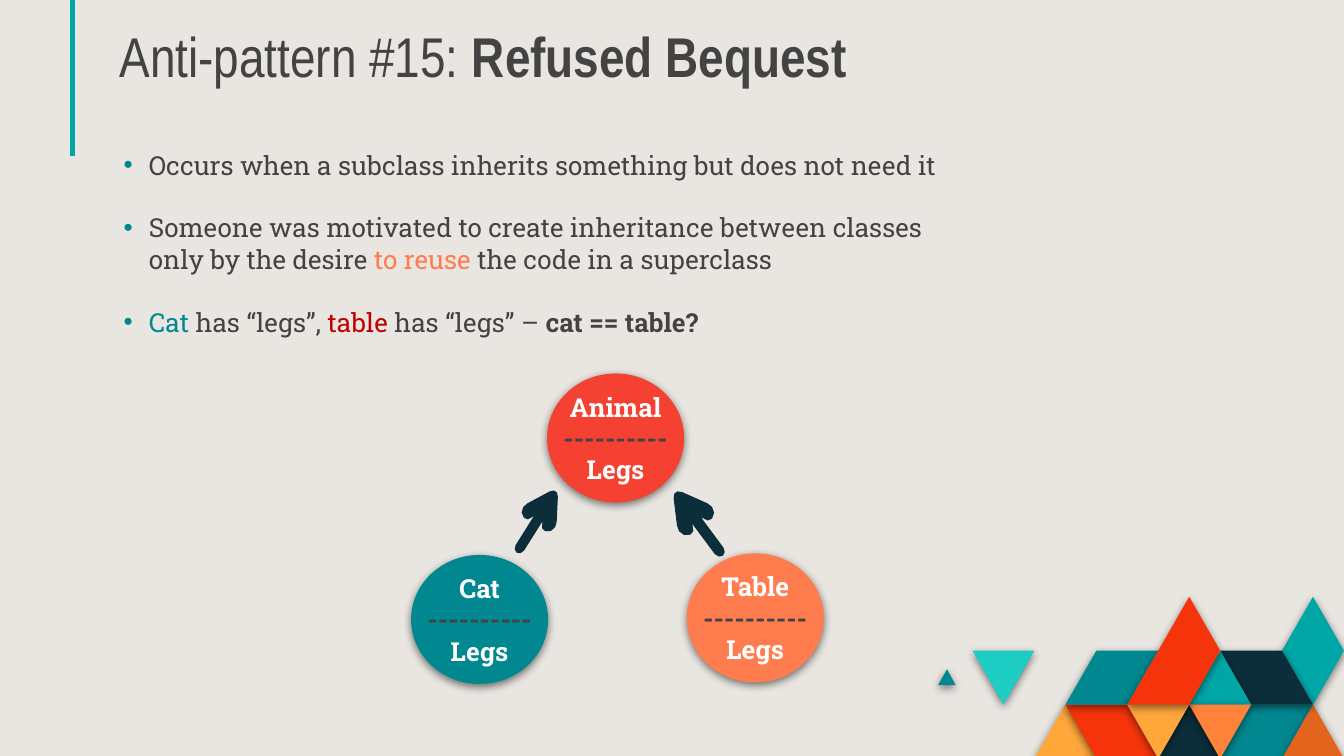
import pptx
import pptx.dml.color
import pptx.enum.shapes
import pptx.enum.text
import pptx.oxml
import pptx.oxml.ns
import pptx.oxml.xmlchemy
import pptx.util

Cm = pptx.util.Cm
Pt = pptx.util.Pt
qn = pptx.oxml.ns.qn
new_element = pptx.oxml.xmlchemy.OxmlElement
ALIGN = pptx.enum.text.PP_ALIGN
ANCHOR = pptx.enum.text.MSO_ANCHOR

WIDTH, HEIGHT = 25.4, 14.29
TEAL, DARK, GREY, WHITE = "018790", "0C2E3A", "434343", "FFFFFF"
AQUA, RED, AMBER, CORAL = "00A6A6", "F5340B", "FFA73B", "FF7C4E"
SLAB = "Roboto Slab"

GRID_LEFT, GRID_TOP = 19.55, 11.28
GRID_DX, GRID_DY = (WIDTH - GRID_LEFT) / 10, 1.02
MOSAIC = [
    (AMBER, [(0, 3), (1, 2), (2, 3)]),
    (RED, [(1, 2), (3, 2), (4, 3), (2, 3)]),
    (TEAL, [(6, 3), (7, 2), (9, 2), (8, 3)]),
    ("E3651D", [(8, 3), (9, 2), (10, 3)]),
    (DARK, [(4, 3), (5, 2), (6, 3)]),
    (TEAL, [(1, 2), (2, 1), (4, 1), (3, 2)]),
    ("1DCDC3", [(-2, 1), (0, 1), (-1, 2)]),
    (AQUA, [(8, 1), (9, 0), (10, 1), (9, 2)]),
    (DARK, [(6, 1), (8, 1), (9, 2), (7, 2)]),
    (AQUA, [(5, 2), (6, 1), (7, 2)]),
    ("FF823B", [(5, 2), (7, 2), (6, 3)]),
    (AMBER, [(3, 2), (5, 2), (4, 3)]),
    (RED, [(3, 2), (5, 0), (6, 1), (5, 2)]),
]
SMALL_TRIANGLE = [(17.73, 12.95), (17.9, 12.65), (18.06, 12.95)]

ARROW_HALF = [(0, 0.02), (0.04, 0.06), (0.34, 0.23), (0.41, 0.25), (0.48, 0.23),
              (0.52, 0.17), (0.51, 0.12), (0.4, 0.06), (0.91, 0.06),
              (0.96, 0.04), (0.98, 0)]

BULLETS = [
    [("Occurs when a subclass inherits something but does not need it", GREY, False)],
    [("Someone was motivated to create inheritance between classes only by the desire ",
      GREY, False),
     ("to reuse ", CORAL, False),
     ("the code in a superclass", GREY, False)],
    [("Cat ", TEAL, False), ("has “legs”, ", GREY, False),
     ("table ", "C00000", False), ("has “legs” – ", GREY, False),
     ("cat == table?", GREY, True)],
]


def rgb(value):
    return pptx.dml.color.RGBColor.from_string(value)


def add_run(p, text, font=SLAB, size=14, color=GREY, bold=False):
    r = p.add_run()
    r.text = text
    r.font.name = font
    r.font.size = Pt(size)
    r.font.bold = bold
    r.font.color.rgb = rgb(color)


def move(sp, left, top, width, height):
    sp.left, sp.top, sp.width, sp.height = map(Cm, (left, top, width, height))


def paint(sp, color):
    sp.fill.solid()
    sp.fill.fore_color.rgb = rgb(color)
    sp.line.fill.background()
    sp.shadow.inherit = False


def add_shadow(sp):
    effects = sp._element.spPr.find(qn("a:effectLst"))
    effects.append(pptx.oxml.parse_xml(
        '<a:outerShdw xmlns:a="http://schemas.openxmlformats.org/drawingml/2006/main" '
        'blurRad="57150" dist="19050" dir="5400000" algn="bl" rotWithShape="0">'
        '<a:srgbClr val="000000"><a:alpha val="50000"/></a:srgbClr></a:outerShdw>'))


def add_polygon(s, points, color):
    points = [(Cm(x), Cm(y)) for x, y in points]
    builder = s.shapes.build_freeform(*points[0], scale=1.0)
    builder.add_line_segments(points[1:], close=True)
    sp = builder.convert_to_shape()
    paint(sp, color)
    return sp


def add_mosaic(s):
    for color, cells in MOSAIC:
        points = [(GRID_LEFT + col * GRID_DX, GRID_TOP + row * GRID_DY)
                  for col, row in cells]
        add_shadow(add_polygon(s, points, color))
    add_shadow(add_polygon(s, SMALL_TRIANGLE, TEAL))


def add_rule(s, x, bottom):
    line = s.shapes.add_connector(
        pptx.enum.shapes.MSO_CONNECTOR.STRAIGHT, Cm(x), 0, Cm(x), Cm(bottom))
    line.line.color.rgb = rgb(AQUA)
    line.line.width = Pt(2.25)
    line._element.spPr.append(new_element("a:effectLst"))


def add_title(s):
    sp = s.shapes.title
    move(sp, 2.01, 0.33, 22.48, 1.6)
    tf = sp.text_frame
    tf.auto_size = pptx.enum.text.MSO_AUTO_SIZE.NONE
    tf.vertical_anchor = ANCHOR.BOTTOM
    tf.margin_left = tf.margin_right = tf.margin_top = tf.margin_bottom = Cm(0.25)
    p = tf.paragraphs[0]
    p.alignment = ALIGN.LEFT
    add_run(p, "Anti-pattern #15: ", font="Arial Narrow", size=30)
    add_run(p, "Refused Bequest", font="Arial Narrow", size=30, bold=True)


def set_bullet(p):
    pPr = p._p.get_or_add_pPr()
    pPr.set("marL", str(Cm(0.48)))
    pPr.set("indent", str(-Cm(0.48)))
    color = new_element("a:buClr")
    value = new_element("a:srgbClr")
    value.set("val", TEAL)
    color.append(value)
    font = new_element("a:buFont")
    font.set("typeface", "Arial")
    char = new_element("a:buChar")
    char.set("char", "•")
    pPr.extend([color, font, char])


def add_bullets(s):
    sp = s.placeholders[1]
    move(sp, 2.08, 2.69, 16.03, 4.37)
    tf = sp.text_frame
    tf.auto_size = pptx.enum.text.MSO_AUTO_SIZE.NONE
    tf.vertical_anchor = ANCHOR.TOP
    for i, runs in enumerate(BULLETS):
        p = tf.add_paragraph() if i else tf.paragraphs[0]
        p.space_before = Pt(0)
        p.space_after = Pt(16.8)
        set_bullet(p)
        for text, color, bold in runs:
            add_run(p, text, color=color, bold=bold)


def add_class_circle(s, left, top, name, color):
    sp = s.shapes.add_shape(pptx.enum.shapes.MSO_SHAPE.OVAL,
                            Cm(left), Cm(top), Cm(2.59), Cm(2.44))
    paint(sp, color)
    add_shadow(sp)
    tf = sp.text_frame
    tf.word_wrap = False
    tf.vertical_anchor = ANCHOR.MIDDLE
    lines = [(name, WHITE), ("-" * 10, GREY), ("Legs", WHITE)]
    for i, (text, ink) in enumerate(lines):
        p = tf.add_paragraph() if i else tf.paragraphs[0]
        p.alignment = ALIGN.CENTER
        add_run(p, text, color=ink, bold=True)


def add_arrow(s, tail, tip):
    dx, dy = tail[0] - tip[0], tail[1] - tip[1]
    outline = ARROW_HALF + [(u, -v) for u, v in reversed(ARROW_HALF[:-1])]
    points = [(tip[0] + u * dx - v * dy, tip[1] + u * dy + v * dx)
              for u, v in outline]
    sp = add_polygon(s, points, DARK)
    sp.line.color.rgb = rgb(DARK)
    sp.line.width = Pt(0.75)


def main():
    prs = pptx.Presentation()
    prs.slide_width, prs.slide_height = Cm(WIDTH), Cm(HEIGHT)
    s = prs.slides.add_slide(prs.slide_layouts[1])
    s.background.fill.solid()
    s.background.fill.fore_color.rgb = rgb("E9E6E1")
    add_mosaic(s)
    add_rule(s, 1.37, 2.95)
    add_title(s)
    add_bullets(s)
    add_class_circle(s, 12.98, 10.46, "Table", CORAL)
    add_class_circle(s, 10.34, 7.06, "Animal", "F54132")
    add_class_circle(s, 7.77, 10.49, "Cat", TEAL)
    add_arrow(s, (13.67, 10.52), (12.78, 9.32))
    add_arrow(s, (9.76, 10.46), (10.49, 9.3))
    prs.save("out.pptx")


if __name__ == "__main__":
    main()
